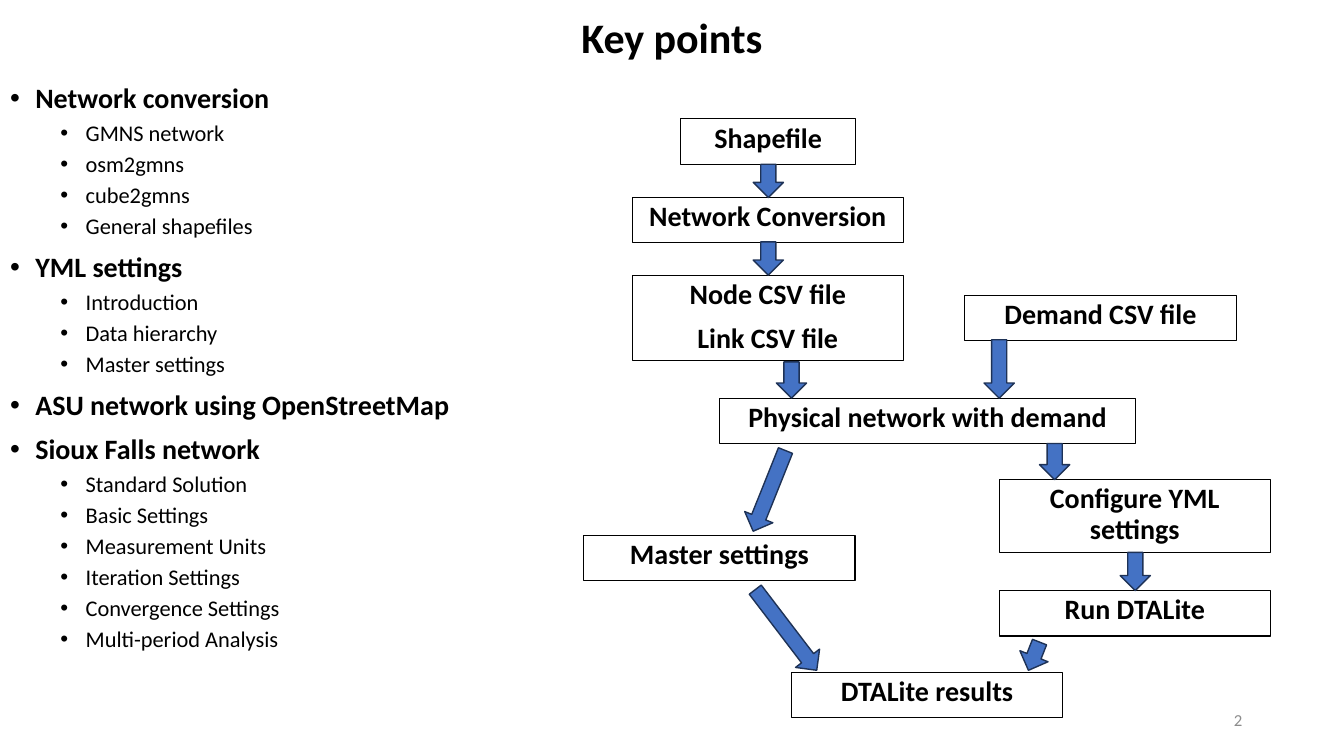
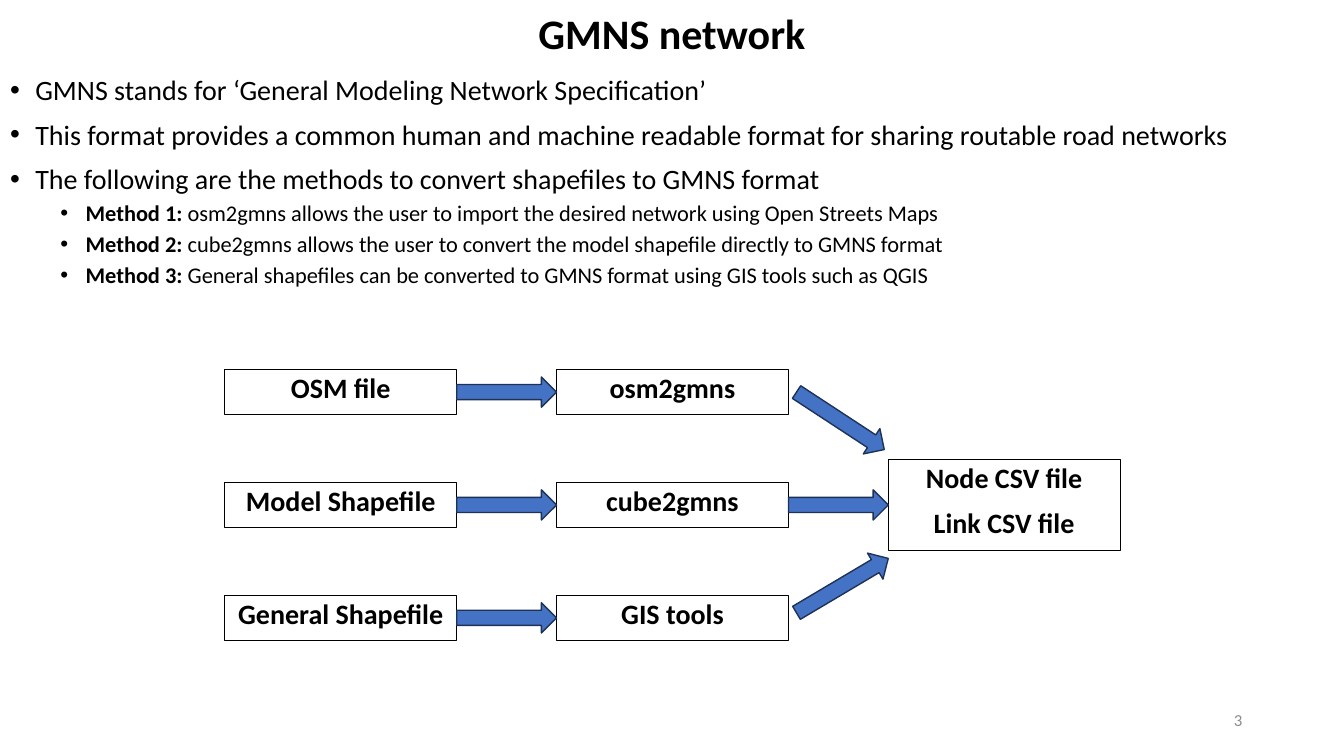
from math import atan2, degrees, hypot

from lxml.etree import SubElement
from pptx import Presentation
from pptx.dml.color import RGBColor as RGB
from pptx.enum.shapes import MSO_SHAPE as SHAPE
from pptx.enum.text import MSO_ANCHOR as ANCHOR, MSO_AUTO_SIZE as FIT, PP_ALIGN as ALIGN
from pptx.oxml.ns import qn
from pptx.util import Inches, Pt

FONT = "Calibri"
COLORS = {"text": "000000", "number": "8C8C8C", "arrow": "4472C4", "edge": "1E3256"}
WIDTH, HEIGHT = 13.33, 7.5
ROW = 0.45    # height of a one-line box
THICK = 0.3   # height of a block arrow

TOPICS = [
    ("Network conversion",
     ["GMNS network", "osm2gmns", "cube2gmns", "General shapefiles"]),
    ("YML settings", ["Introduction", "Data hierarchy", "Master settings"]),
    ("ASU network using OpenStreetMap", []),
    ("Sioux Falls network",
     ["Standard Solution", "Basic Settings", "Measurement Units",
      "Iteration Settings", "Convergence Settings", "Multi-period Analysis"]),
]
FACTS = [
    "GMNS stands for ‘General Modeling Network Specification’",
    "This format provides a common human and machine readable format "
    "for sharing routable road networks",
    "The following are the methods to convert shapefiles to GMNS format",
]
METHODS = [
    "osm2gmns allows the user to import the desired network using Open Streets Maps",
    "cube2gmns allows the user to convert the model shapefile directly to GMNS format",
    "General shapefiles can be converted to GMNS format using GIS tools such as QGIS",
]
FILES = ["Node CSV file", "Link CSV file"]

# left, top, width, height, lines
STEPS = [
    (6.75, 1.18, 1.74, ROW, ["Shapefile"]),
    (6.27, 1.96, 2.69, ROW, ["Network Conversion"]),
    (6.27, 2.73, 2.69, 0.85, FILES),
    (9.57, 2.93, 2.69, ROW, ["Demand CSV file"]),
    (7.14, 3.95, 4.12, ROW, ["Physical network with demand"]),
    (9.91, 4.76, 2.69, 0.72, ["Configure YML settings"]),
    (5.79, 5.31, 2.69, ROW, ["Master settings"]),
    (9.91, 5.86, 2.69, ROW, ["Run DTALite"]),
    (7.85, 6.67, 2.69, ROW, ["DTALite results"]),
]
# tail x, tail y, tip x, tip y
LINKS = [
    (7.62, 1.63, 7.62, 1.96),
    (7.62, 2.4, 7.62, 2.73),
    (7.85, 3.59, 7.85, 3.95),
    (9.91, 3.37, 9.91, 3.95),
    (7.79, 4.47, 7.47, 5.27),
    (10.46, 4.4, 10.46, 4.76),
    (11.26, 5.48, 11.26, 5.86),
    (7.49, 5.85, 8.1, 6.65),
    (10.31, 6.37, 10.2, 6.65),
]


def color(name):
    return RGB.from_string(COLORS[name])


def style(para, size, bold=False, tint="text"):
    font = para.font
    font.name, font.size, font.bold = FONT, Pt(size), bold
    font.color.rgb = color(tint)


def place(shape, left, top, width, height):
    shape.left, shape.top = Inches(left), Inches(top)
    shape.width, shape.height = Inches(width), Inches(height)


def fill_text(frame, lines):
    """Write one paragraph per line and return the paragraphs."""
    frame.word_wrap = True
    frame.auto_size = FIT.NONE
    for i, line in enumerate(lines):
        para = frame.paragraphs[0] if i == 0 else frame.add_paragraph()
        para.line_spacing = 0.9
        para.space_before = Pt(10 if i else 0)
        para.add_run().text = line
    return frame.paragraphs


def add_page(deck, title, number, height):
    """Add a slide with its title, as high as given, and its number."""
    slide = deck.slides.add_slide(deck.slide_layouts[1])
    head = slide.shapes.title
    place(head, 0, 0, WIDTH, height)
    head.text_frame.vertical_anchor = ANCHOR.MIDDLE
    para = fill_text(head.text_frame, [title])[0]
    para.alignment = ALIGN.CENTER
    style(para, 30, True)

    box = slide.shapes.add_textbox(Inches(9.42), Inches(6.95), Inches(3), Inches(0.4))
    box.text_frame.vertical_anchor = ANCHOR.MIDDLE
    para = fill_text(box.text_frame, [str(number)])[0]
    para.alignment = ALIGN.RIGHT
    style(para, 12, tint="number")
    return slide


def add_list(slide, area, items):
    """Fill the body with items of (level, bold lead, plain rest)."""
    body = slide.placeholders[1]
    place(body, *area)
    frame = body.text_frame
    frame.vertical_anchor = ANCHOR.TOP
    paras = fill_text(frame, [lead or rest for _, lead, rest in items])
    for para, (level, lead, rest) in zip(paras, items):
        para.level = level
        if level:
            para.space_before = Pt(5)
        props = para._p.get_or_add_pPr()
        props.set("marL", str(Inches(0.25 + 0.5 * level)))
        props.set("indent", str(Inches(-0.25)))
        SubElement(props, qn("a:buFont"), typeface="Arial")
        SubElement(props, qn("a:buChar"), char="•")
        style(para, 16 if level else 20, bool(lead) and not rest)
        if lead and rest:
            para.runs[0].font.bold = True
            para.add_run().text = rest


def add_box(slide, left, top, width, height, lines):
    box = slide.shapes.add_shape(SHAPE.RECTANGLE, Inches(left), Inches(top),
                                 Inches(width), Inches(height))
    box.shadow.inherit = False
    box.fill.background()
    box.line.color.rgb = color("text")
    box.line.width = Pt(0.75)
    box.text_frame.vertical_anchor = ANCHOR.TOP
    for para in fill_text(box.text_frame, lines):
        para.alignment = ALIGN.CENTER
        style(para, 20, True)


def add_arrow(slide, x1, y1, x2, y2):
    """Add a block arrow from its tail to its tip, turned to fit."""
    size = hypot(x2 - x1, y2 - y1)
    left, top = (x1 + x2 - size) / 2, (y1 + y2 - THICK) / 2
    arrow = slide.shapes.add_shape(SHAPE.RIGHT_ARROW, Inches(left), Inches(top),
                                   Inches(size), Inches(THICK))
    arrow.rotation = degrees(atan2(y2 - y1, x2 - x1))
    arrow.shadow.inherit = False
    arrow.fill.solid()
    arrow.fill.fore_color.rgb = color("arrow")
    arrow.line.color.rgb = color("edge")
    arrow.line.width = Pt(1)


def add_points(deck):
    slide = add_page(deck, "Key points", 2, 0.79)
    items = []
    for topic, parts in TOPICS:
        items.append((0, topic, ""))
        items += [(1, "", part) for part in parts]
    add_list(slide, (0, 0.79, 4.71, 6.71), items)
    for step in STEPS:
        add_box(slide, *step)
    for link in LINKS:
        add_arrow(slide, *link)


def add_network(deck):
    slide = add_page(deck, "GMNS network", 3, 0.71)
    items = [(0, "", fact) for fact in FACTS]
    items += [(1, f"Method {i}: ", text) for i, text in enumerate(METHODS, 1)]
    add_list(slide, (0, 0.71, WIDTH, 2.34), items)

    wide, tall = 2.3, 0.9
    source, tool, result = [2.23 + 3.29 * i for i in range(3)]
    pairs = [("OSM file", "osm2gmns"), ("Model Shapefile", "cube2gmns"),
             ("General Shapefile", "GIS tools")]
    mids = [3.89 + 1.12 * i for i in range(len(pairs))]
    for mid, pair in zip(mids, pairs):
        for left, name in zip((source, tool), pair):
            add_box(slide, left, mid - ROW / 2, wide, ROW, [name])
        add_arrow(slide, source + wide, mid, tool, mid)
    add_box(slide, result, mids[1] - tall / 2, wide, tall, FILES)
    start = tool + wide
    add_arrow(slide, start + 0.08, mids[0], result - 0.04, 4.46)
    add_arrow(slide, start, mids[1], result, mids[1])
    add_arrow(slide, start + 0.08, 6.08, result, 5.54)


def main():
    deck = Presentation()
    deck.slide_width, deck.slide_height = Inches(WIDTH), Inches(HEIGHT)
    add_points(deck)
    add_network(deck)
    deck.save("out.pptx")


if __name__ == "__main__":
    main()
